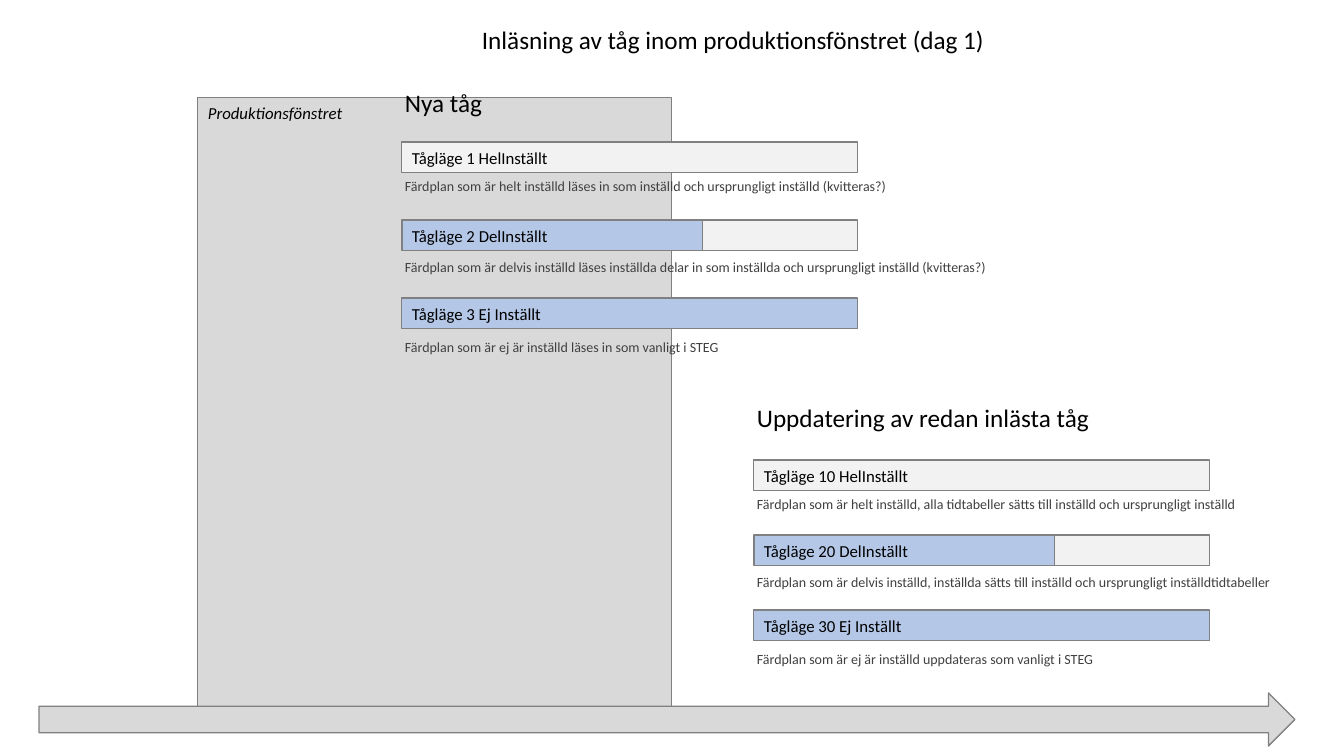
from pptx import Presentation
from pptx.dml.color import RGBColor as RGB
from pptx.enum.shapes import MSO_SHAPE as Kind
from pptx.enum.text import MSO_ANCHOR as Anchor, MSO_AUTO_SIZE as Fit, PP_ALIGN as Align
from pptx.util import Pt

TITLE = ("Inläsning av tåg inom produktionsfönstret (dag 1)", (472, 19, 528, 40))
WINDOW = ("Produktionsfönstret", (198, 98, 474, 619))
ARROW = (39, 693, 1256, 53)

GROUPS = [
    {"head": "Nya tåg", "place": (395, 82, 99, 40), "left": 402, "top": 142, "step": 78,
     "rows": [
         ("Tågläge 1 HelInställt", "none", 506,
          "Färdplan som är helt inställd läses in som inställd och ursprungligt inställd (kvitteras?)"),
         ("Tågläge 2 DelInställt", "part", 607,
          "Färdplan som är delvis inställd läses inställda delar in som inställda och ursprungligt inställd (kvitteras?)"),
         ("Tågläge 3 Ej Inställt", "full", 336,
          "Färdplan som är ej är inställd läses in som vanligt i STEG"),
     ]},
    {"head": "Uppdatering av redan inlästa tåg", "place": (747, 397, 357, 40),
     "left": 754, "top": 460, "step": 75,
     "rows": [
         ("Tågläge 10 HelInställt", "none", 506,
          "Färdplan som är helt inställd, alla tidtabeller sätts till inställd och ursprungligt inställd"),
         ("Tågläge 20 DelInställt", "part", 541,
          "Färdplan som är delvis inställd, inställda sätts till inställd och ursprungligt inställdtidtabeller"),
         ("Tågläge 30 Ej Inställt", "full", 362,
          "Färdplan som är ej är inställd uppdateras som vanligt i STEG"),
     ]},
]

THEME = {
    "font": "Calibri", "head": 18, "label": 12, "note": 10,
    "ink": "000000", "soft": "404040", "line": "808080",
    "gray": "D9D9D9", "pale": "F2F2F2", "blue": "B4C7E7",
}
BAR_W, BAR_H, PART_W = 456, 31, 301
NOTE_X, NOTE_H = -7, 27
NOTE_Y = {"none": 31, "part": 34, "full": 36}
SCALE = 914400 / 100.8


def emu(*px):
    return [round(n * SCALE) for n in px]


def write(shape, text, size, ink="ink", wrap=False, slant=False, grow=True):
    frame = shape.text_frame
    frame.text = text
    frame.word_wrap = wrap
    frame.auto_size = Fit.SHAPE_TO_FIT_TEXT if grow else Fit.NONE
    line = frame.paragraphs[0]
    line.alignment = Align.LEFT
    font = line.runs[0].font
    font.name = THEME["font"]
    font.size = Pt(THEME[size])
    font.italic = slant
    font.color.rgb = RGB.from_string(THEME[ink])


def label(slide, text, place, size, ink="ink"):
    write(slide.shapes.add_textbox(*emu(*place)), text, size, ink)


def block(slide, place, fill, kind=Kind.RECTANGLE, width=0.75):
    shape = slide.shapes.add_shape(kind, *emu(*place))
    shape.shadow.inherit = False
    shape.fill.solid()
    shape.fill.fore_color.rgb = RGB.from_string(THEME[fill])
    shape.line.color.rgb = RGB.from_string(THEME["line"])
    shape.line.width = Pt(width)
    return shape


def draw_row(slide, left, top, row):
    name, state, width, note = row
    main = PART_W if state == "part" else BAR_W
    if state == "part":
        block(slide, (left + main, top, BAR_W - main, BAR_H), "pale")
    bar = block(slide, (left, top, main, BAR_H), "pale" if state == "none" else "blue")
    write(bar, name, "label", wrap=True)
    bar.text_frame.vertical_anchor = Anchor.MIDDLE
    label(slide, note, (left + NOTE_X, top + NOTE_Y[state], width, NOTE_H), "note", "soft")


def main():
    deck = Presentation()
    deck.slide_width, deck.slide_height = emu(1344, 756)
    slide = deck.slides.add_slide(deck.slide_layouts[6])

    text, place = WINDOW
    pane = block(slide, place, "gray")
    write(pane, text, "label", slant=True, grow=False)
    pane.text_frame.vertical_anchor = Anchor.TOP

    label(slide, *TITLE, "head")
    for group in GROUPS:
        label(slide, group["head"], group["place"], "head")
        for i, row in enumerate(group["rows"]):
            draw_row(slide, group["left"], group["top"] + i * group["step"], row)

    block(slide, ARROW, "gray", Kind.RIGHT_ARROW, 1)
    deck.save("out.pptx")


if __name__ == "__main__":
    main()
